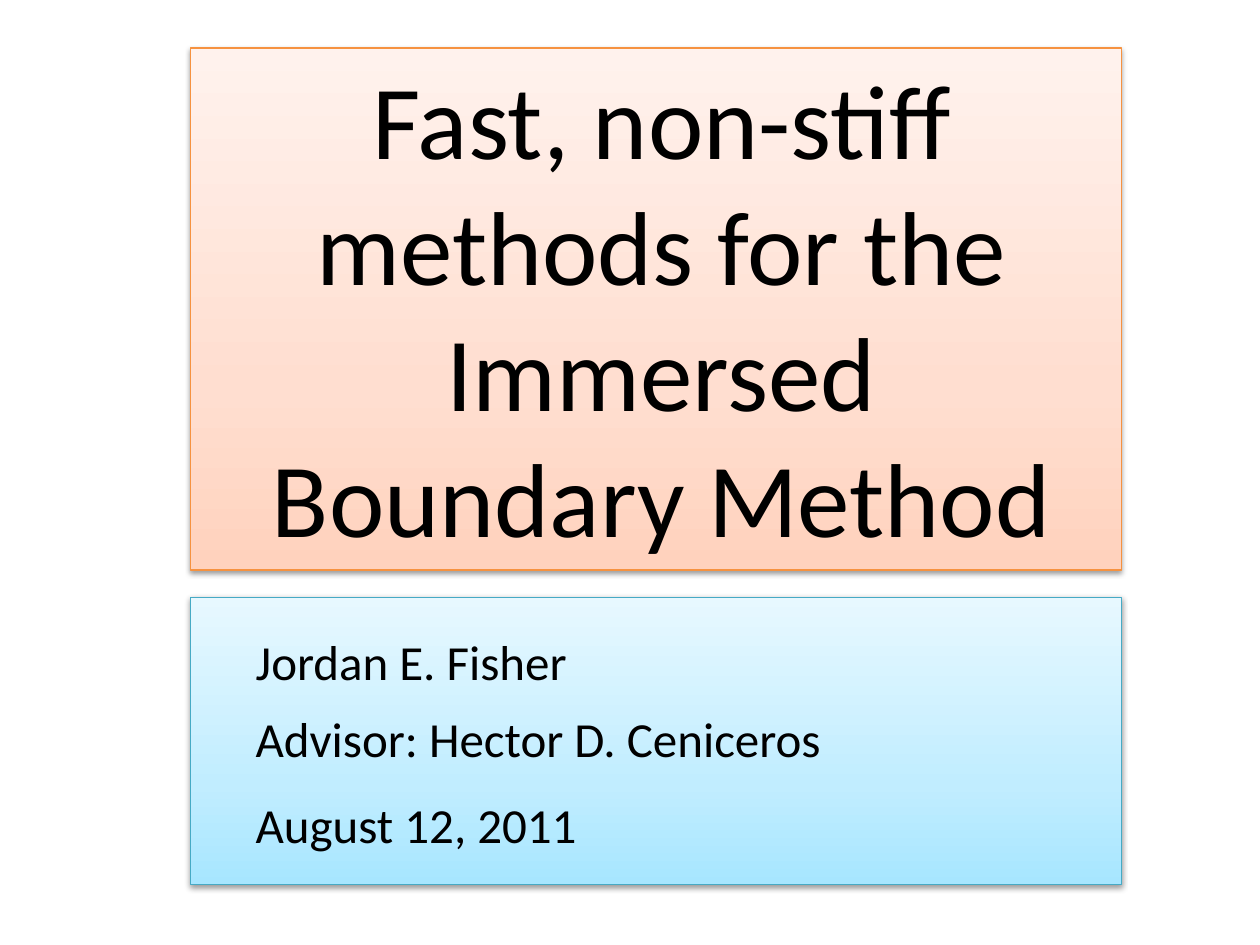
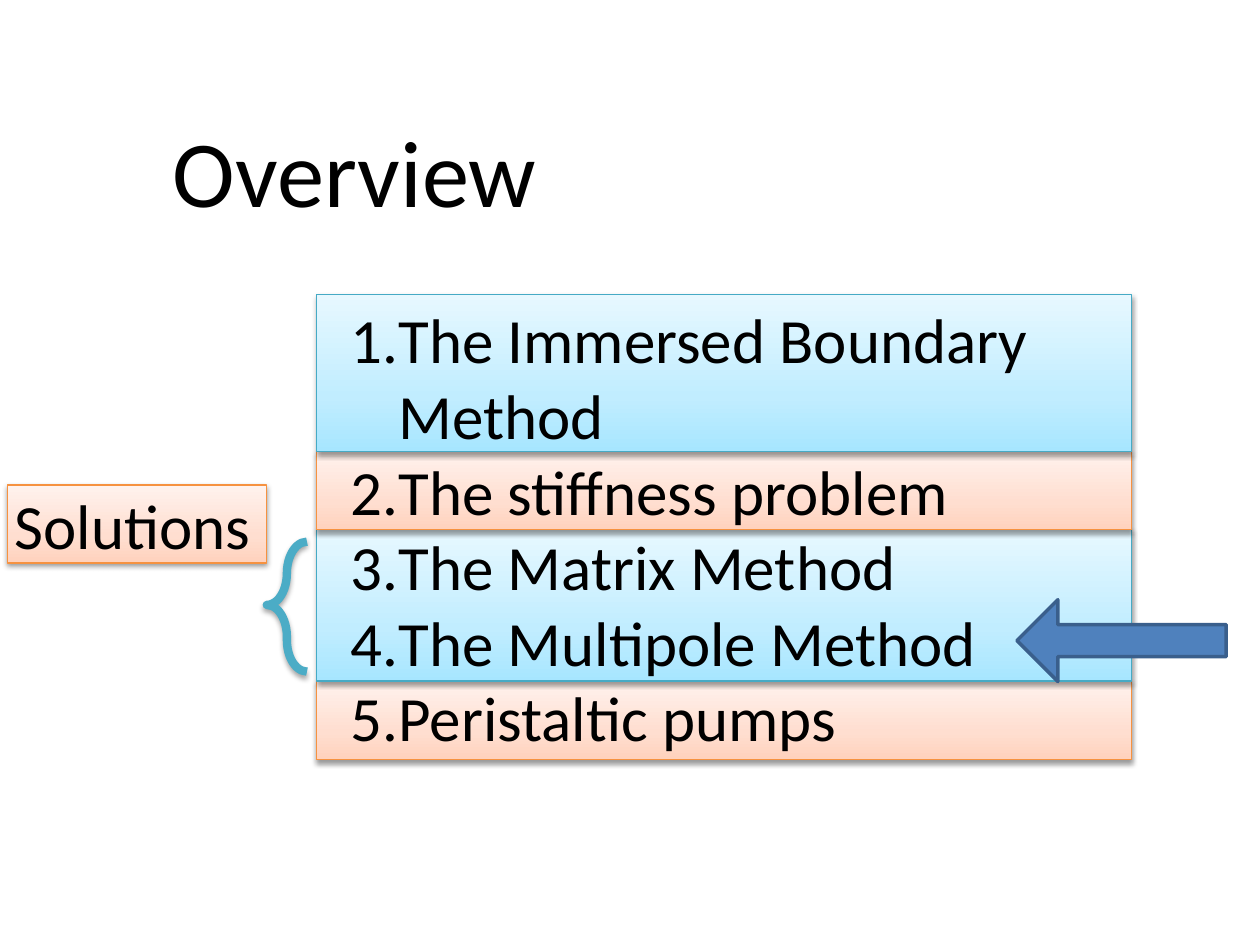
from dataclasses import dataclass

from lxml import etree
from pptx import Presentation
from pptx import util as u
from pptx.dml.color import RGBColor
from pptx.enum import shapes, text
from pptx.oxml import ns


@dataclass(frozen=True)
class Theme:
    font: str = "Calibri"
    ink: str = "000000"
    orange: tuple = ("F69240", "FFD2BD", "FFDED0", "FFF2ED")
    blue: tuple = ("46AAC5", "A7E6FF", "C1EDFF", "E7F8FF")
    stops: tuple = (0, 35, 100)
    brace: str = "4BACC6"
    arrow: str = "4F81BD"
    arrow_edge: str = "3A5F8C"
    cover_size: int = 60
    title_size: int = 54
    list_size: int = 36
    credit_size: int = 28


T = Theme()


def rgb(color):
    return RGBColor.from_string(color)


def cm(box):
    return [u.Cm(v) for v in box]


def add(parent, tag, **attrs):
    return etree.SubElement(parent, ns.qn(tag), {k: str(v) for k, v in attrs.items()})


def outline(sp, color, width):
    sp.line.color.rgb = rgb(color)
    sp.line.width = u.Pt(width)
    sp.shadow.inherit = False


def drop_shadow(sp, dist, alpha):
    effects = sp.element.spPr.find(ns.qn("a:effectLst"))
    shadow = add(effects, "a:outerShdw", blurRad=u.Pt(3.1), dist=u.Pt(dist),
                 dir=5400000, rotWithShape=0)
    color = add(shadow, "a:srgbClr", val="000000")
    add(color, "a:alpha", val=alpha * 1000)


def panel(s, box, scheme):
    edge, *colors = scheme
    sp = s.shapes.add_shape(shapes.MSO_SHAPE.RECTANGLE, *cm(box))
    sp.fill.gradient()
    sp.fill.gradient_angle = 90
    stops = sp.element.spPr.find(".//" + ns.qn("a:gsLst"))
    for stop in list(stops):
        stops.remove(stop)
    for pos, color in zip(T.stops, colors):
        add(add(stops, "a:gs", pos=pos * 1000), "a:srgbClr", val=color)
    outline(sp, edge, 0.75)
    drop_shadow(sp, 1.6, 38)


def write(sp, lines, size, align=text.PP_ALIGN.LEFT, gaps=(), numbered=False):
    tf = sp.text_frame
    tf.word_wrap = True
    tf.auto_size = text.MSO_AUTO_SIZE.NONE
    tf.vertical_anchor = text.MSO_ANCHOR.TOP
    for i, line in enumerate(lines):
        p = tf.paragraphs[0] if i == 0 else tf.add_paragraph()
        p.alignment = align
        p.space_before = u.Pt(gaps[i - 1] if gaps and i else 0)
        if numbered:
            pPr = p._p.get_or_add_pPr()
            pPr.set("marL", str(u.Cm(0.97)))
            pPr.set("indent", str(-u.Cm(0.97)))
            add(pPr, "a:buFont", typeface="+mj-lt")
            add(pPr, "a:buAutoNum", type="arabicPeriod")
        r = p.add_run()
        r.text = line
        r.font.name = T.font
        r.font.size = u.Pt(size)
        r.font.color.rgb = rgb(T.ink)


def place(sp, box):
    sp.left, sp.top, sp.width, sp.height = cm(box)
    sp.element.getparent().append(sp.element)
    return sp


def cover_title(s, box):
    x, y, w, h = box
    panel(s, box, T.orange)
    write(place(s.shapes.title, (x + 1.06, y, w - 1.9, h)),
          ["Fast, non-stiff methods for the Immersed", "Boundary Method"],
          T.cover_size, text.PP_ALIGN.CENTER)


def cover_credits(s, box):
    x, y, w, h = box
    panel(s, box, T.blue)
    write(place(s.placeholders[1], (x + 1.06, y + 0.56, w - 1.9, h - 1)),
          ["Jordan E. Fisher", "Advisor: Hector D. Ceniceros", "August 12, 2011"],
          T.credit_size, gaps=(10.5, 15.5))


def topic_list(s, box):
    x, y, w, h = box
    row = h / 5.93
    bands = []
    top = y
    for rows, scheme in ((2, T.blue), (1, T.orange), (1.93, T.blue), (1, T.orange)):
        bands.append(((x, top, w, rows * row), scheme))
        top += rows * row
    for band, scheme in reversed(bands):
        panel(s, band, scheme)
    write(place(s.placeholders[1], (x + 0.43, y, w - 0.4, h + 0.13)),
          ["The Immersed Boundary Method", "The stiffness problem",
           "The Matrix Method", "The Multipole Method", "Peristaltic pumps"],
          T.list_size, numbered=True)


def solutions_label(s, box):
    x, y, w, h = box
    panel(s, box, T.orange)
    write(s.shapes.add_textbox(*cm((x - 0.1, y - 0.1, w + 0.66, h + 0.23))),
          ["Solutions"], T.list_size)
    brace = s.shapes.add_shape(shapes.MSO_SHAPE.RIGHT_BRACE,
                               *cm((x + w, y + 1.14, 0.81, 2.62)))
    brace.adjustments[0], brace.adjustments[1] = 1.134, 0.487
    brace.element.spPr.xfrm.set("flipH", "1")
    brace.fill.background()
    outline(brace, T.brace, 4.75)
    drop_shadow(brace, 1.8, 35)


def current_topic_arrow(s, box):
    sp = s.shapes.add_shape(shapes.MSO_SHAPE.LEFT_ARROW, *cm(box))
    sp.adjustments[0], sp.adjustments[1] = 0.39, 0.5
    sp.fill.solid()
    sp.fill.fore_color.rgb = rgb(T.arrow)
    outline(sp, T.arrow_edge, 2)


def cover_slide(prs):
    s = prs.slides.add_slide(prs.slide_layouts[0])
    cover_title(s, (3.84, 0.97, 18.77, 10.52))
    cover_credits(s, (3.84, 12.04, 18.77, 5.79))


def overview_slide(prs):
    s = prs.slides.add_slide(prs.slide_layouts[1])
    write(place(s.shapes.title, (3.23, 2.16, 12.01, 2.57)), ["Overview"], T.title_size)
    topic_list(s, (6.38, 5.94, 16.43, 9.37))
    solutions_label(s, (0.15, 9.78, 5.23, 1.57))
    current_topic_arrow(s, (20.5, 12.09, 4.22, 1.65))


def main():
    prs = Presentation()
    prs.slide_width, prs.slide_height = u.Cm(25.4), u.Cm(19.05)
    cover_slide(prs)
    overview_slide(prs)
    prs.save("out.pptx")


if __name__ == "__main__":
    main()
